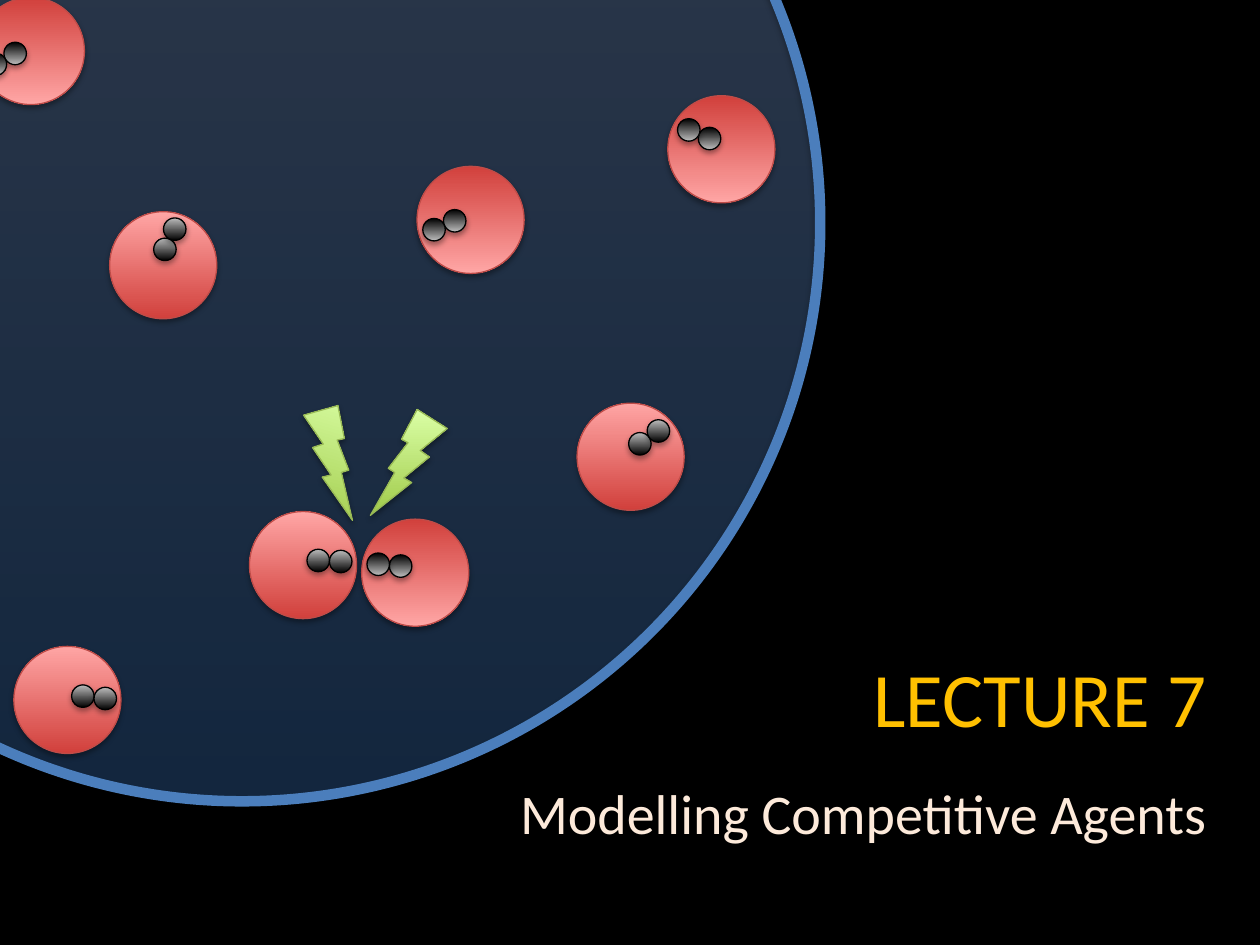
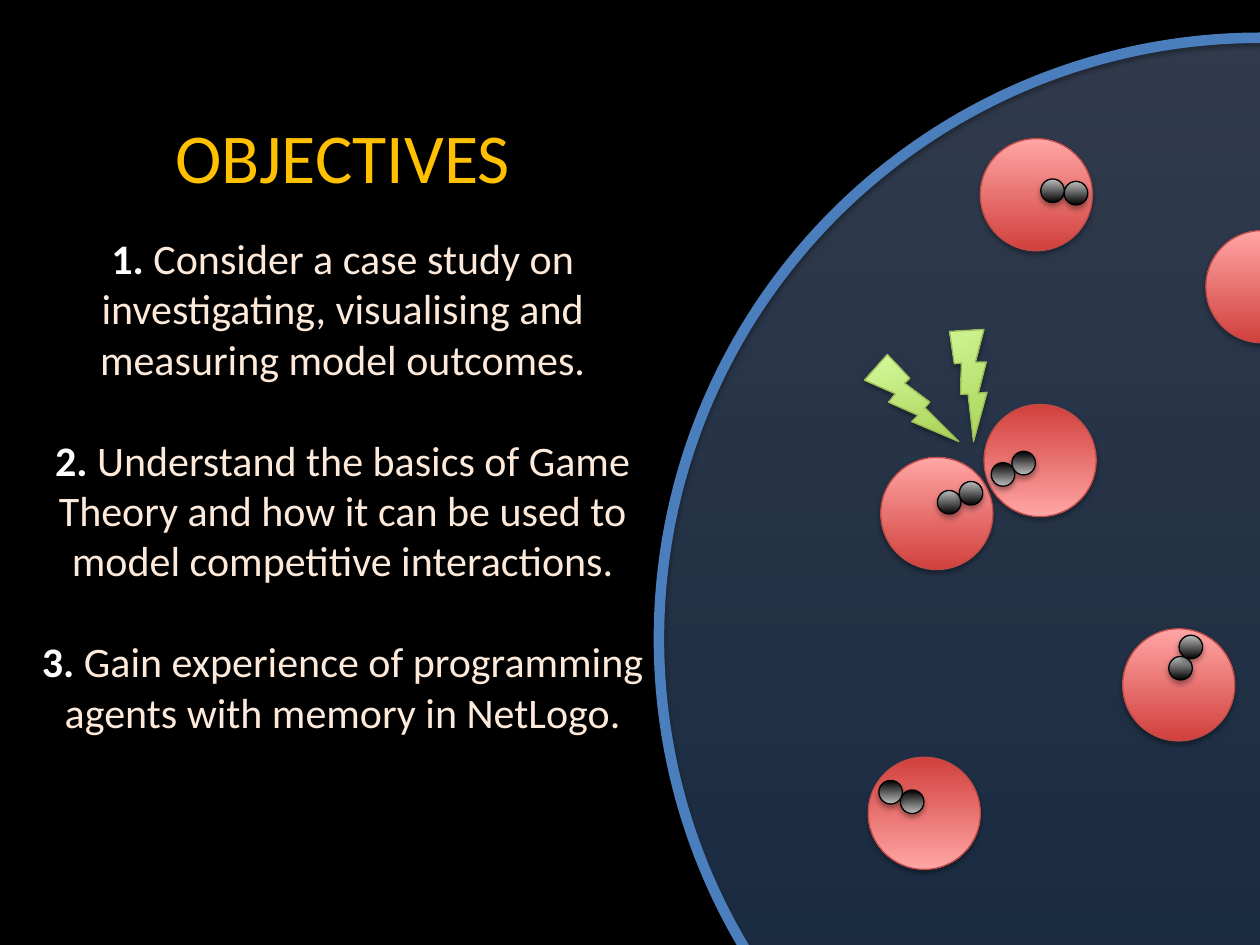
import math

from lxml import etree
from pptx import Presentation
from pptx import util as u
from pptx.dml.color import RGBColor
from pptx.enum import shapes, text
from pptx.oxml.ns import qn

COLOURS = {
    "background": "000000",
    "heading": "FFC000",
    "body": "FDEADA",
    "number": "FFFFFF",
    "shadow": "000000",
    "dish_line": "4B7EBC",
    "dish_dark": "3F80CE",
    "dish_light": "A4C4FF",
    "cell_line": "BF4C48",
    "cell_dark": "D1403C",
    "cell_light": "FFA6A5",
    "dot_line": "000000",
    "dot_dark": "000000",
    "dot_light": "BDBDBD",
    "bolt_line": "98B955",
    "bolt_dark": "A0CA4A",
    "bolt_light": "DAFFA5",
}
FONT = "Calibri"
PAGE_WIDTH, PAGE_HEIGHT = 10, 7.5
DISH_OPACITY = 29
# Dot diameter and dot centres as shares of the cell diameter
DOT_SHARE = 0.21
DOT_OFFSETS = [(0.14, -0.05), (0.35, -0.05)]


def colour(name):
    return RGBColor.from_string(COLOURS[name])


def apply(target, values):
    for name, value in values.items():
        setattr(target, name, value)


class Board:
    def __init__(self):
        self.deck = Presentation()
        self.deck.slide_width = u.Inches(PAGE_WIDTH)
        self.deck.slide_height = u.Inches(PAGE_HEIGHT)
        self.page = None

    def new_page(self):
        self.page = self.deck.slides.add_slide(self.deck.slide_layouts[5])
        fill = self.page.background.fill
        fill.solid()
        fill.fore_color.rgb = colour("background")

    def title(self, area, margin_top, align, paragraphs):
        """Fill the title; a paragraph is (format values, [(words, size, colour, bold)])."""
        box = self.page.shapes.title
        places = map(u.Inches, area)
        apply(box, dict(zip(("left", "top", "width", "height"), places)))
        frame = box.text_frame
        apply(frame, {
            "word_wrap": True,
            "auto_size": text.MSO_AUTO_SIZE.NONE,
            "vertical_anchor": text.MSO_ANCHOR.TOP,
            "margin_top": u.Inches(margin_top),
        })
        for index, (layout, spans) in enumerate(paragraphs):
            para = frame.add_paragraph() if index else frame.paragraphs[0]
            apply(para, {"alignment": align, **layout})
            for words, size, shade, bold in spans:
                span = para.add_run()
                span.text = words
                apply(span.font, {"name": FONT, "size": u.Pt(size), "bold": bold})
                span.font.color.rgb = colour(shade)

    def shadow(self, shape):
        shape.shadow.inherit = False
        effects = shape._element.spPr.find(qn("a:effectLst"))
        outer = etree.SubElement(
            effects, qn("a:outerShdw"), blurRad=str(u.Pt(3.1)),
            dist=str(u.Pt(1.8)), dir="5400000", rotWithShape="0")
        shade = etree.SubElement(outer, qn("a:srgbClr"), val=COLOURS["shadow"])
        etree.SubElement(shade, qn("a:alpha"), val="35000")

    def gradient(self, shape, kind, dark_top=False, opacity=100):
        fill = shape.fill
        fill.gradient()
        fill.gradient_angle = 270 if dark_top else 90
        for stop, tone in zip(fill.gradient_stops, ("dark", "light")):
            stop.color.rgb = colour(f"{kind}_{tone}")
        if opacity < 100:
            for shade in shape._element.spPr.iter(qn("a:srgbClr")):
                etree.SubElement(shade, qn("a:alpha"), val=str(opacity * 1000))

    def outlined(self, preset, kind, area, weight=0.75):
        shape = self.page.shapes.add_shape(preset, *map(u.Inches, area))
        shape.line.color.rgb = colour(f"{kind}_line")
        shape.line.width = u.Pt(weight)
        self.shadow(shape)
        return shape

    def circle(self, kind, left, top, size, weight=0.75):
        return self.outlined(shapes.MSO_SHAPE.OVAL, kind, (left, top, size, size), weight)

    def dish(self, left, top, size):
        disc = self.circle("dish", left, top, size)
        self.gradient(disc, "dish", opacity=DISH_OPACITY)
        self.circle("dish", left, top, size, weight=6).fill.background()

    def cell(self, size, left, top, turn, flipped=False):
        """Draw a cell whose pair of dots is mirrored, then turned about its centre."""
        self.gradient(self.circle("cell", left, top, size), "cell", flipped)
        cos, sin = math.cos(math.radians(turn)), math.sin(math.radians(turn))
        dot_size = size * DOT_SHARE
        for across, down in DOT_OFFSETS:
            across = -across if flipped else across
            corner = (size - dot_size) / 2
            dot_left = left + corner + size * (across * cos - down * sin)
            dot_top = top + corner + size * (across * sin + down * cos)
            if dot_left < PAGE_WIDTH:
                dot = self.circle("dot", dot_left, dot_top, dot_size)
                self.gradient(dot, "dot", flipped)

    def bolt(self, area, turn=0, flipped=False):
        bolt = self.outlined(shapes.MSO_SHAPE.LIGHTNING_BOLT, "bolt", area)
        self.gradient(bolt, "bolt")
        bolt.rotation = turn
        if flipped:
            bolt._element.spPr.find(qn("a:xfrm")).set("flipH", "1")


def lecture_page(board):
    board.new_page()
    board.title((0, 4.34, 9.68, 3.16), 0.82, text.PP_ALIGN.RIGHT, [
        ({}, [("LECTURE 7", 44, "heading", False)]),
        ({"space_before": u.Pt(20.6)},
         [("Modelling Competitive Agents", 32, "body", False)]),
    ])
    board.dish(-2.67, -2.82, 9.18)
    for cell in [
        (-0.18, -0.02, 331.3, True),
        (3.31, 1.32, 336.8, True),
        (1.98, 4.06, 2.7),
        (0.87, 1.68, 295.9),
        (0.11, 5.13, 6),
        (4.58, 3.2, 325.3),
        (5.3, 0.76, 22.6, True),
        (2.87, 4.12, 4.7, True),
    ]:
        board.cell(0.85, *cell)
    board.bolt((2.32, 3.22, 0.61, 0.84), turn=16.6)
    board.bolt((2.94, 3.25, 0.61, 0.84), flipped=True)


def objectives_page(board):
    objectives = [
        "Consider a case study on investigating, visualising and measuring model outcomes.",
        "Understand the basics of Game Theory and how it can be used to model "
        "competitive interactions.",
        "Gain experience of programming agents with memory in NetLogo.",
    ]
    paragraphs = [({}, [("OBJECTIVES", 40, "heading", False)])]
    for number, objective in enumerate(objectives, 1):
        layout = {
            "line_spacing": u.Pt(28.8),
            "space_before": u.Pt(20 if number == 1 else 28.8),
        }
        paragraphs.append((layout, [
            (f"{number}. ", 24, "number", True),
            (objective, 24, "body", False),
        ]))
    board.new_page()
    board.title((0, 0.3, 5.44, 6.51), 0.6, text.PP_ALIGN.CENTER, paragraphs)
    board.dish(5.23, 0.3, 9.54)
    for cell in [
        (6.99, 3.63, 337.6),
        (7.81, 3.21, 331.3, True),
        (6.89, 6.01, 24, True),
        (9.57, 1.83, 11.9),
        (8.91, 4.99, 295.9),
        (7.78, 1.1, 6),
    ]:
        board.cell(0.89, *cell)
    board.bolt((6.92, 2.78, 0.59, 0.82), turn=344.3)
    board.bolt((7.43, 2.59, 0.59, 0.82), turn=324.1, flipped=True)


def main():
    board = Board()
    lecture_page(board)
    objectives_page(board)
    board.deck.save("out.pptx")


if __name__ == "__main__":
    main()
